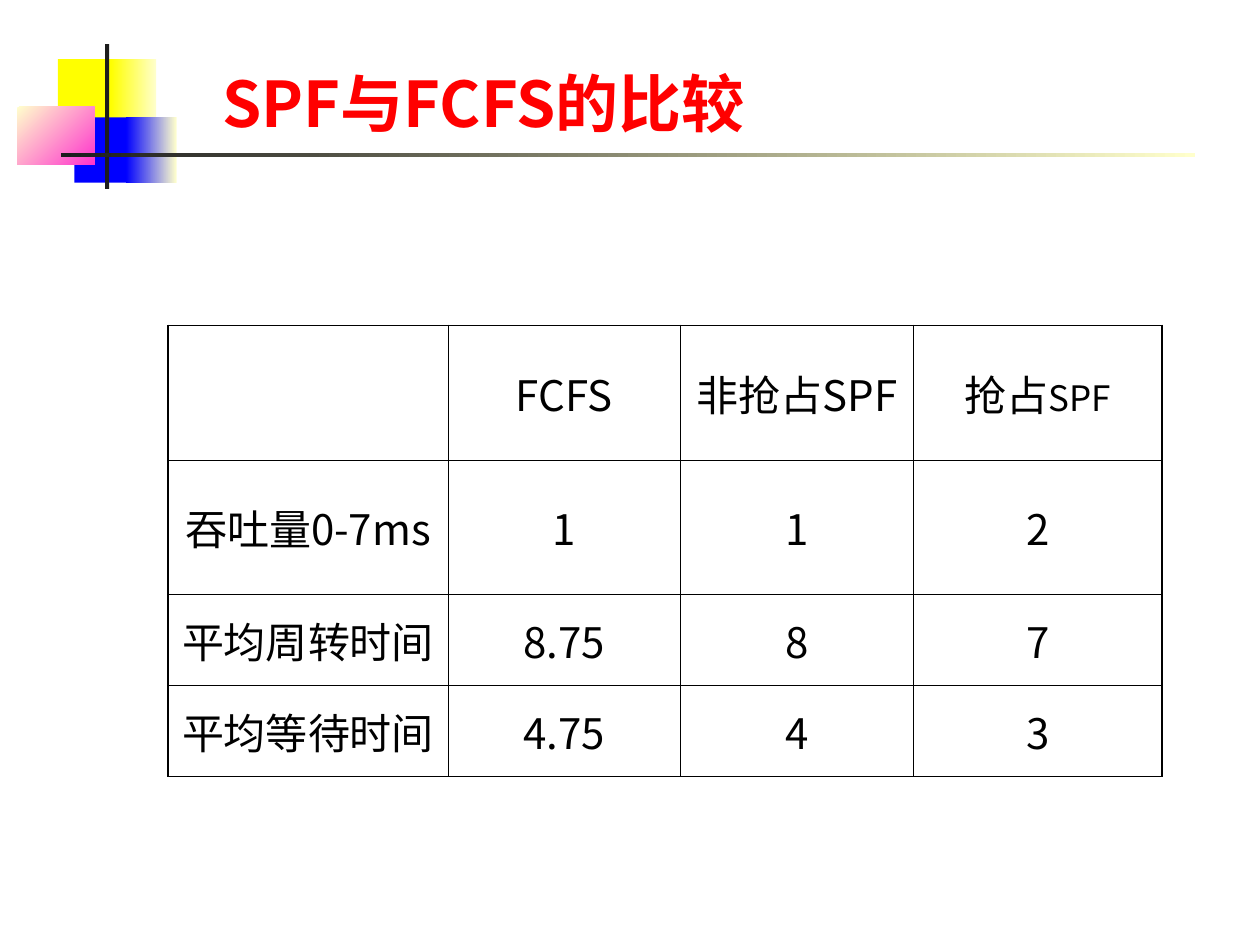
from dataclasses import dataclass

from lxml import etree
from pptx import Presentation
from pptx.dml.color import RGBColor
from pptx.enum.shapes import MSO_SHAPE
from pptx.enum.text import MSO_ANCHOR, MSO_AUTO_SIZE, PP_ALIGN
from pptx.oxml.ns import qn
from pptx.util import Pt

RECTANGLE = MSO_SHAPE.RECTANGLE
MIDDLE, BOTTOM = MSO_ANCHOR.MIDDLE, MSO_ANCHOR.BOTTOM
LEFT, CENTER = PP_ALIGN.LEFT, PP_ALIGN.CENTER
NO_AUTOFIT = MSO_AUTO_SIZE.NONE
TITLE_ONLY = 5


@dataclass(frozen=True)
class Theme:
    font: str = "Noto Sans CJK SC"
    title_color: str = "FF0000"
    text_color: str = "000000"
    yellow: str = "FFFF00"
    blue: str = "0000FF"
    pink: str = "FF33CC"
    cream: str = "FFFFCC"
    dark: str = "1C1C1C"
    title_size: float = 36
    cell_size: float = 24
    small_size: float = 20
    outer_border: float = 1.08
    inner_border: float = 0.45


class SlideBuilder:
    def __init__(self, slide, theme):
        self.slide = slide
        self.theme = theme

    def format_run(self, run, size, color, bold=False):
        font = run.font
        font.name, font.size, font.bold = self.theme.font, Pt(size), bold
        font.color.rgb = RGBColor.from_string(color)
        east_asian = etree.SubElement(run._r.get_or_add_rPr(), qn("a:ea"))
        east_asian.set("typeface", self.theme.font)

    def title(self, text, left, top, width, height):
        heading = self.slide.shapes.title
        heading.left, heading.top = Pt(left), Pt(top)
        heading.width, heading.height = Pt(width), Pt(height)
        frame = heading.text_frame
        frame.text = text
        frame.auto_size, frame.vertical_anchor = NO_AUTOFIT, BOTTOM
        paragraph = frame.paragraphs[0]
        paragraph.alignment = LEFT
        for run in paragraph.runs:
            self.format_run(run, self.theme.title_size, self.theme.title_color, True)

    def block(self, box, colors, angle=0):
        """Draw a borderless rectangle; two colours make a gradient."""
        block = self.slide.shapes.add_shape(RECTANGLE, *map(Pt, box))
        block.shadow.inherit = False
        block.line.fill.background()
        if len(colors) == 1:
            block.fill.solid()
            block.fill.fore_color.rgb = RGBColor.from_string(colors[0])
            return
        block.fill.gradient()
        block.fill.gradient_angle = angle
        for stop, color in zip(block.fill.gradient_stops, colors):
            stop.color.rgb = RGBColor.from_string(color)

    def border(self, cell, side, width):
        line = etree.SubElement(cell._tc.get_or_add_tcPr(), qn(f"a:ln{side}"))
        line.set("w", str(Pt(width)))
        fill = etree.SubElement(line, qn("a:solidFill"))
        etree.SubElement(fill, qn("a:srgbClr")).set("val", self.theme.text_color)

    def cell(self, cell, text, outer_sides):
        for side in "LRTB":
            self.border(cell, side, self.theme.outer_border if side in outer_sides
                        else self.theme.inner_border)
        cell.fill.background()
        cell.vertical_anchor = MIDDLE
        cell.text_frame.text = text
        paragraph = cell.text_frame.paragraphs[0]
        paragraph.alignment, paragraph.space_before = CENTER, Pt(6)
        for run in paragraph.runs:
            self.format_run(run, self.theme.cell_size, self.theme.text_color)

    def small_suffix(self, cell, text):
        paragraph = cell.text_frame.paragraphs[0]
        paragraph.space_before = Pt(5)
        run = paragraph.add_run()
        run.text = text
        self.format_run(run, self.theme.small_size, self.theme.text_color)

    def table(self, rows, left, top, widths, heights):
        table = self.slide.shapes.add_table(
            len(rows), len(widths), Pt(left), Pt(top),
            Pt(sum(widths)), Pt(sum(heights))).table
        table.first_row = table.horz_banding = False
        for column, width in zip(table.columns, widths):
            column.width = Pt(width)
        for row, height in zip(table.rows, heights):
            row.height = Pt(height)
        last_row, last_column = len(rows) - 1, len(widths) - 1
        for r, texts in enumerate(rows):
            for c, text in enumerate(texts):
                edges = {"L": c == 0, "R": c == last_column,
                         "T": r == 0, "B": r == last_row}
                self.cell(table.cell(r, c), text, [s for s in edges if edges[s]])
        return table


def main():
    presentation = Presentation()
    presentation.slide_width, presentation.slide_height = Pt(720), Pt(540)
    slide = presentation.slides.add_slide(presentation.slide_layouts[TITLE_ONLY])
    theme = Theme()
    builder = SlideBuilder(slide, theme)

    builder.block((33.1, 33.8, 34.6, 37.4), [theme.yellow])
    builder.block((63.4, 33.8, 25.9, 37.4), [theme.yellow, theme.cream])
    builder.block((42.5, 67, 33.1, 37.4), [theme.blue])
    builder.block((72, 67, 28.8, 37.4), [theme.blue, theme.cream])
    builder.block((10, 61, 44, 33.2), [theme.cream, theme.pink], angle=315)
    builder.block((60, 25.2, 2.4, 82.8), [theme.dark])
    builder.block((34.8, 87.2, 648, 2.6), [theme.dark, theme.cream])

    builder.title("SPF与FCFS的比较", 120, 11.5, 446, 72)

    comparison = builder.table(
        [["", "FCFS", "非抢占SPF", "抢占"],
         ["吞吐量0-7ms", "1", "1", "2"],
         ["平均周转时间", "8.75", "8", "7"],
         ["平均等待时间", "4.75", "4", "3"]],
        left=96, top=186, widths=[160, 133, 133, 142], heights=[60.5, 52, 52, 52])
    builder.small_suffix(comparison.cell(0, 3), "SPF")

    presentation.save("out.pptx")


if __name__ == "__main__":
    main()
